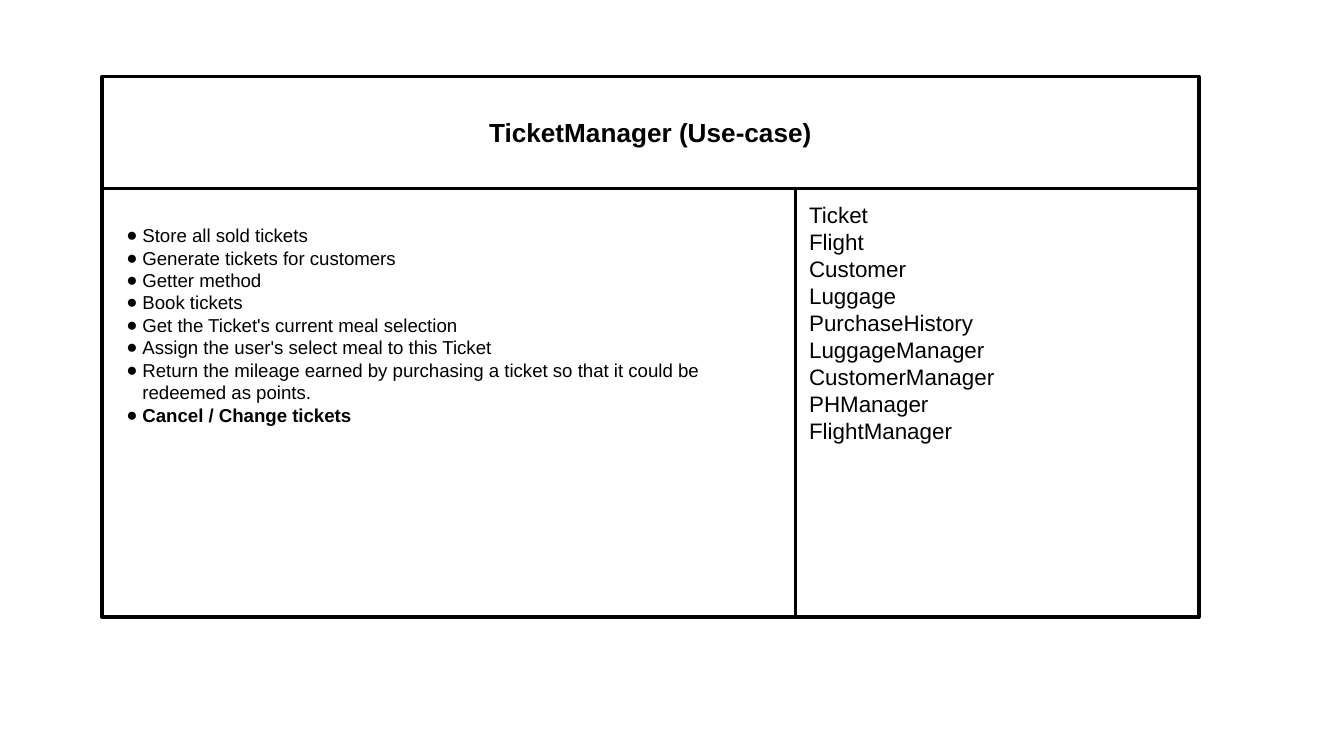
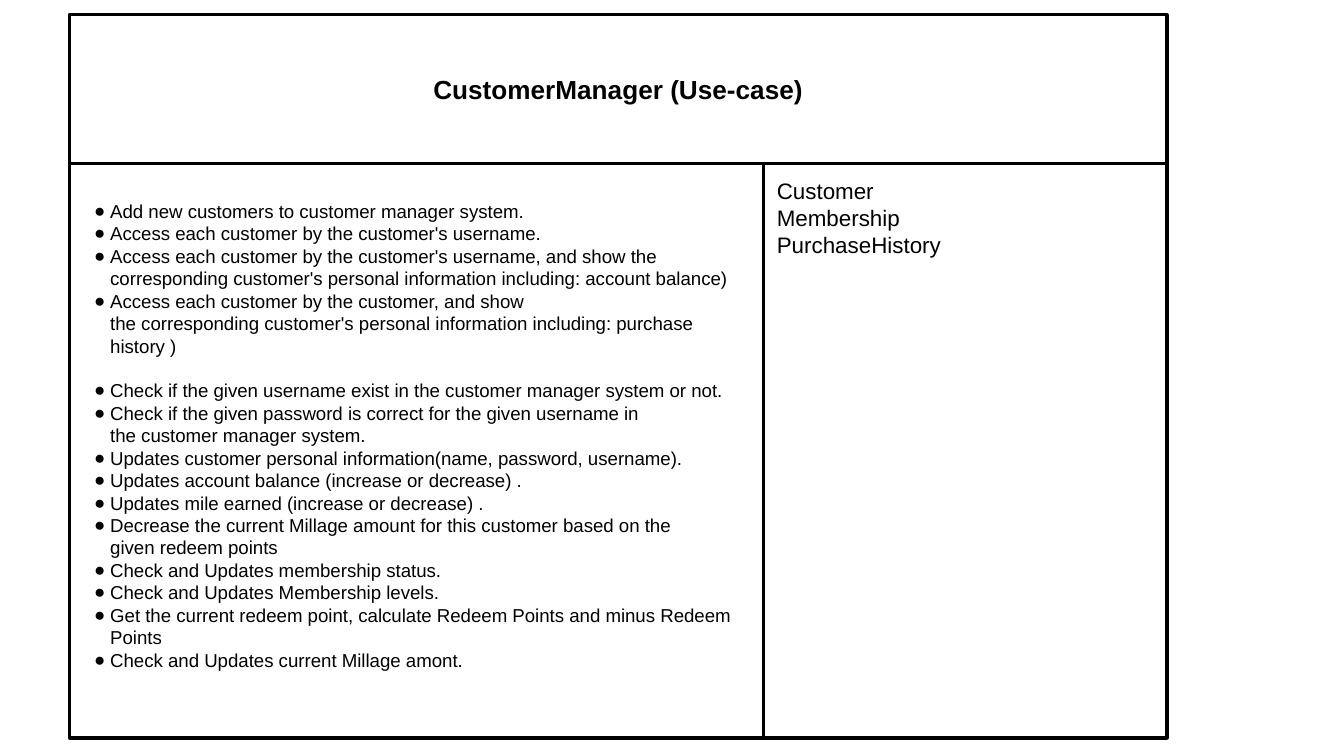
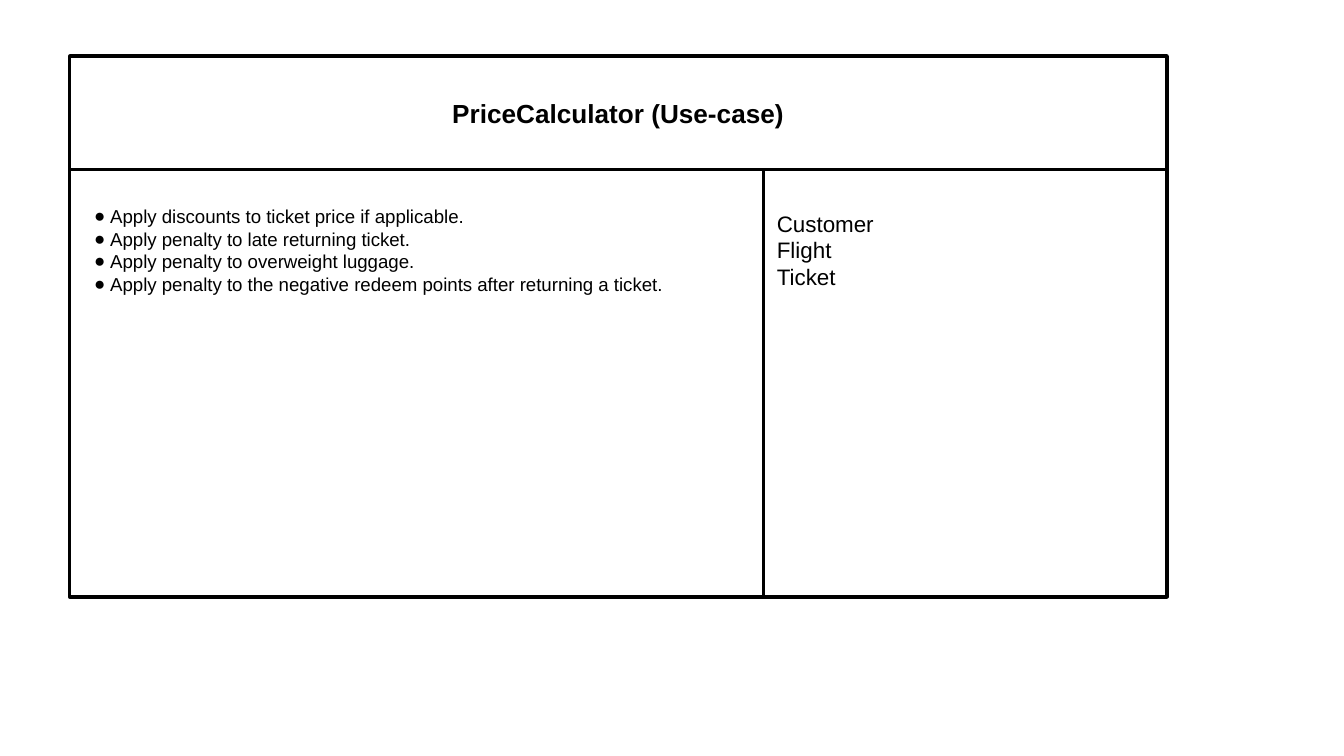
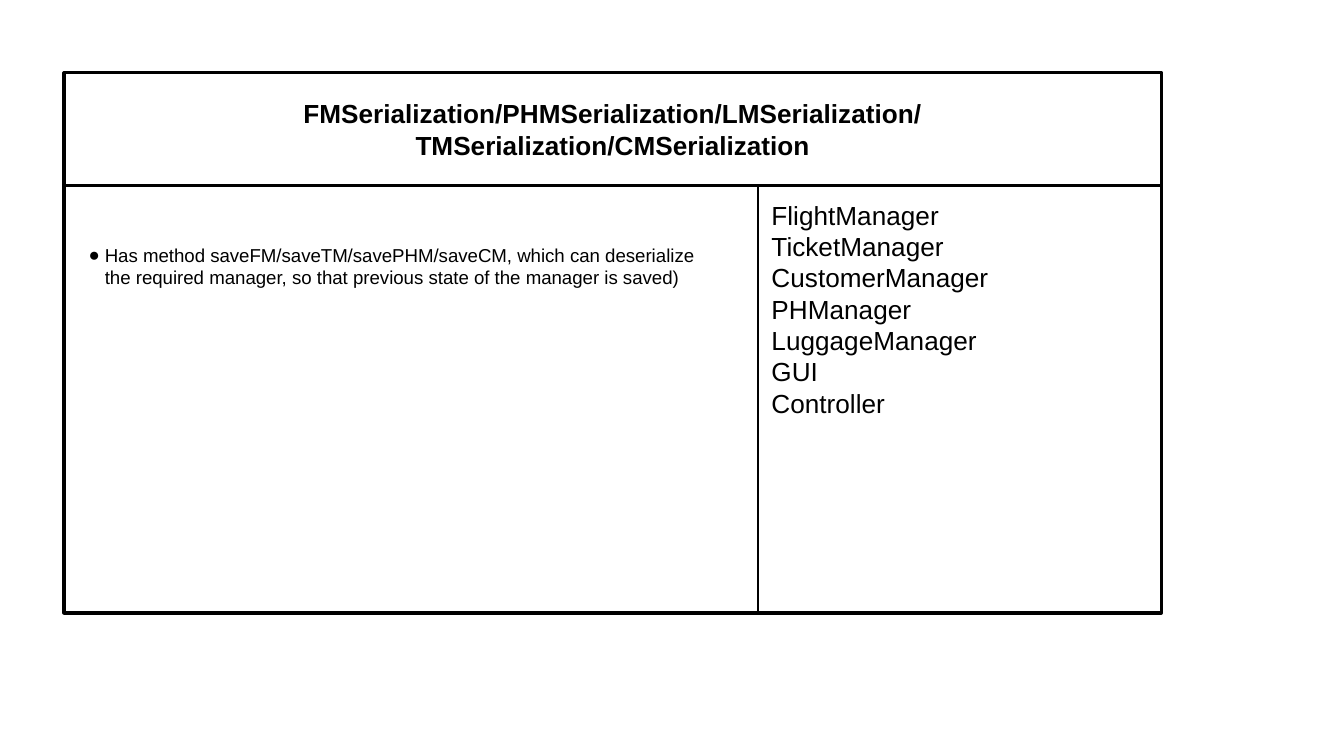
from dataclasses import dataclass

from lxml import etree
from pptx import Presentation
from pptx.dml.color import RGBColor
from pptx.enum.shapes import MSO_SHAPE
from pptx.enum.text import MSO_ANCHOR, MSO_AUTO_SIZE, PP_ALIGN
from pptx.oxml.ns import qn
from pptx.util import Inches, Pt

RECT = MSO_SHAPE.RECTANGLE
TOP, MIDDLE = MSO_ANCHOR.TOP, MSO_ANCHOR.MIDDLE
LEFT, CENTER = PP_ALIGN.LEFT, PP_ALIGN.CENTER
NO_FIT = MSO_AUTO_SIZE.NONE
TWO_CONTENT = 3
TIE = "~"
NBSP = chr(160)


@dataclass(frozen=True)
class Theme:
    ink: RGBColor = RGBColor(0, 0, 0)
    paper: RGBColor = RGBColor(255, 255, 255)
    font: str = "Arial"
    title_size: int = 14
    duty_size: int = 10
    frame_line: float = 2.25
    cell_line: float = 1.5
    inset: float = 0.1
    line_pitch: float = 1.2
    bullet: str = "●"
    text_indent: float = 0.2
    bullet_indent: float = -0.12


@dataclass(frozen=True)
class Line:
    text: str
    bold: bool = False
    gap_lines: int = 0


@dataclass(frozen=True)
class Card:
    left: float
    top: float
    height: float
    header: float
    title: list
    duties: list
    partners: list
    partner_size: int = 12
    duty_skip: int = 1
    partner_skip: int = 0


THEME = Theme()
CARD_W = 8.16
DUTY_W = 5.16

CARDS = [
    Card(
        0.76, 0.57, 4.02, 0.83,
        ["TicketManager (Use-case)"],
        [
            Line("Store all sold tickets"),
            Line("Generate tickets for customers"),
            Line("Getter method"),
            Line("Book tickets"),
            Line("Get the Ticket's current meal selection"),
            Line("Assign the user's select meal to this Ticket"),
            Line("Return the mileage earned by purchasing a ticket so that it could be redeemed as points."),
            Line("Cancel / Change tickets", bold=True),
        ],
        ["Ticket", "Flight", "Customer", "Luggage", "PurchaseHistory",
         "LuggageManager", "CustomerManager", "PHManager", "FlightManager"],
    ),
    Card(
        0.52, 0.11, 5.38, 1.11,
        ["CustomerManager (Use-case)"],
        [
            Line("Add new customers to customer manager system."),
            Line("Access each customer~by the customer's username."),
            Line("Access each customer~by the customer's username,~and show the corresponding~customer's personal information including:~account balance)"),
            Line("Access each customer~by the customer,~and show the~corresponding~customer's personal information including: purchase history~)"),
            Line("Check if the given username exist in the~customer manager~system or not.", gap_lines=1),
            Line("Check if the given password is correct for the given username~in the~customer manager~system."),
            Line("Updates customer personal information(name, password,~username)."),
            Line("Updates~account balance (increase or decrease) ."),
            Line("Updates~mile earned~(increase or decrease) ."),
            Line("Decrease the current Millage amount for this customer based on the given~redeem points"),
            Line("Check and Updates~membership status."),
            Line("Check and Updates~Membership levels."),
            Line("Get the current redeem point,~calculate Redeem Points and minus~Redeem Points~"),
            Line("Check and Updates~current~Millage amont."),
        ],
        ["Customer", "Membership", "PurchaseHistory"],
    ),
    Card(
        0.52, 0.42, 4.02, 0.84,
        ["PriceCalculator (Use-case)"],
        [
            Line("Apply discounts to ticket price if applicable."),
            Line("Apply penalty to late returning ticket."),
            Line("Apply penalty to overweight luggage."),
            Line("Apply penalty to the negative redeem points after returning a ticket."),
        ],
        ["Customer", "Flight", "Ticket"],
        partner_skip=1,
    ),
    Card(
        0.48, 0.54, 4.02, 0.84,
        ["FMSerialization/PHMSerialization/LMSerialization/",
         "TMSerialization/CMSerialization"],
        [
            Line("Has method~saveFM/saveTM/savePHM/saveCM, which can deserialize the~required manager, so that previous state of the manager is saved)"),
        ],
        ["FlightManager", "TicketManager", "CustomerManager", "PHManager",
         "LuggageManager", "GUI", "Controller"],
        partner_size=14,
        duty_skip=2,
    ),
]


def style_box(sp, box, line_width):
    sp.left, sp.top, sp.width, sp.height = (Inches(v) for v in box)
    sp.fill.solid()
    sp.fill.fore_color.rgb = THEME.paper
    sp.line.color.rgb = THEME.ink
    sp.line.width = Pt(line_width)


def set_bullet(p, char):
    pPr = p._p.get_or_add_pPr()
    if not char:
        pPr.set("marL", "0")
        pPr.set("indent", "0")
        etree.SubElement(pPr, qn("a:buNone"))
        return
    pPr.set("marL", str(Inches(THEME.text_indent)))
    pPr.set("indent", str(Inches(THEME.bullet_indent)))
    color = etree.SubElement(pPr, qn("a:buClr"))
    etree.SubElement(color, qn("a:srgbClr"), val=str(THEME.ink))
    etree.SubElement(pPr, qn("a:buFont"), typeface=THEME.font)
    etree.SubElement(pPr, qn("a:buChar"), char=char)


def fill_cell(sp, box, lines, size, align=LEFT, anchor=TOP, bullet=None, skip=0):
    style_box(sp, box, THEME.cell_line)
    pitch = size * THEME.line_pitch
    tf = sp.text_frame
    tf.word_wrap = True
    tf.auto_size = NO_FIT
    tf.vertical_anchor = anchor
    tf.margin_left = tf.margin_right = tf.margin_bottom = Inches(THEME.inset)
    tf.margin_top = Inches(THEME.inset) + Pt(skip * pitch)
    for i, line in enumerate(lines):
        p = tf.paragraphs[0] if i == 0 else tf.add_paragraph()
        p.alignment = align
        p.line_spacing = 1.0
        p.space_before = Pt(line.gap_lines * pitch)
        p.space_after = Pt(0)
        set_bullet(p, bullet)
        r = p.add_run()
        r.text = line.text.replace(TIE, NBSP)
        r.font.name = THEME.font
        r.font.size = Pt(size)
        r.font.bold = line.bold
        r.font.color.rgb = THEME.ink


def add_card(prs, card):
    s = prs.slides.add_slide(prs.slide_layouts[TWO_CONTENT])
    title, duties, partners = s.placeholders
    frame = s.shapes.add_shape(RECT, 0, 0, 0, 0)
    frame.shadow.inherit = False
    style_box(frame, (card.left, card.top, CARD_W, card.height), THEME.frame_line)
    title.element.addprevious(frame.element)

    body_top = card.top + card.header
    body_h = card.height - card.header
    fill_cell(title, (card.left, card.top, CARD_W, card.header),
              [Line(t, bold=True) for t in card.title],
              THEME.title_size, align=CENTER, anchor=MIDDLE)
    fill_cell(duties, (card.left, body_top, DUTY_W, body_h), card.duties,
              THEME.duty_size, bullet=THEME.bullet, skip=card.duty_skip)
    fill_cell(partners, (card.left + DUTY_W, body_top, CARD_W - DUTY_W, body_h),
              [Line(t) for t in card.partners],
              card.partner_size, skip=card.partner_skip)


def main():
    prs = Presentation()
    prs.slide_width = Inches(10)
    prs.slide_height = prs.slide_width * 9 // 16
    for card in CARDS:
        add_card(prs, card)
    prs.save("out.pptx")


if __name__ == "__main__":
    main()
